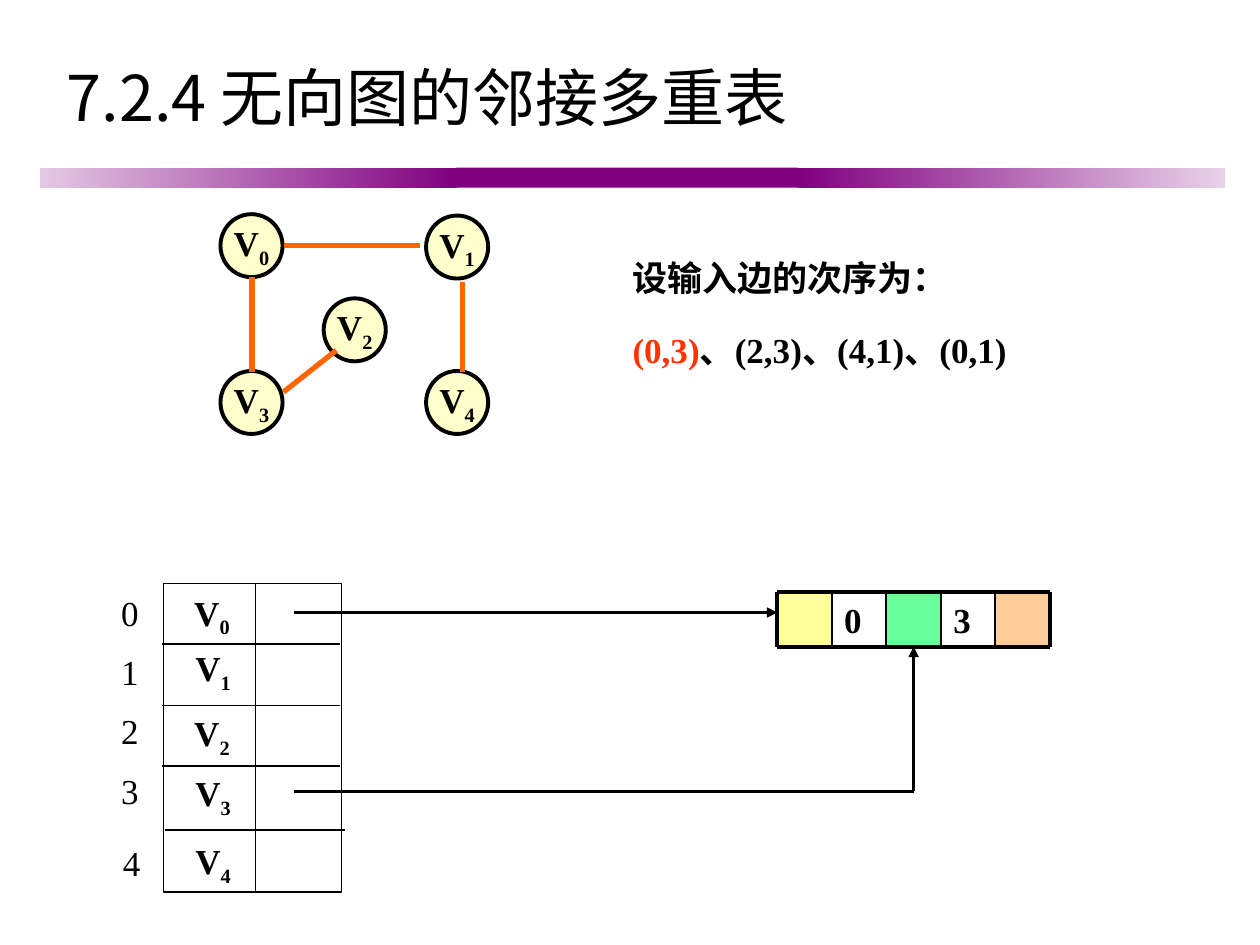
from dataclasses import dataclass
from typing import Optional

from lxml.etree import SubElement
from pptx import Presentation
from pptx.dml.color import RGBColor
from pptx.enum.shapes import MSO_CONNECTOR, MSO_SHAPE
from pptx.enum.text import MSO_ANCHOR as Anchor, PP_ALIGN as Align
from pptx.oxml.ns import qn
from pptx.util import Pt


@dataclass(frozen=True)
class Theme:
    black: str = "000000"
    purple: str = "800080"
    fade_left: str = "E4C9E4"
    fade_right: str = "E9D2E9"
    vertex: str = "FFFFCC"
    edge: str = "FF6600"
    current: str = "FF3300"
    latin: str = "Times New Roman"
    cjk: str = "Noto Sans CJK JP"
    title_size: float = 36
    body_size: float = 20


@dataclass(frozen=True)
class Vertex:
    number: int
    left: float
    top: float


@dataclass(frozen=True)
class HeadRow:
    number: int
    index_x: float
    index_y: float
    vertex_x: float
    vertex_y: float


@dataclass(frozen=True)
class Line:
    x1: float
    y1: float
    x2: float
    y2: float
    width: float
    color: str = "000000"
    arrow: bool = False


@dataclass(frozen=True)
class Field:
    fill: Optional[str] = None
    text: str = ""


THEME = Theme()
prs = Presentation()
prs.slide_width, prs.slide_height = Pt(720), Pt(540)
slide = prs.slides.add_slide(prs.slide_layouts[6])
shapes = slide.shapes


def rgb(color: str) -> RGBColor:
    return RGBColor.from_string(color)


def style(paragraph, size: float, latin: str, bold: bool = False,
          color: Optional[str] = THEME.black) -> None:
    font = paragraph.font
    font.size, font.name, font.bold = Pt(size), latin, bold
    if color:
        font.color.rgb = rgb(color)
    SubElement(font._element, qn("a:ea")).set("typeface", THEME.cjk)


def add_box(left: float, top: float, width: float, height: float, wrap: bool = True,
            anchor: Anchor = Anchor.MIDDLE):
    frame = shapes.add_textbox(Pt(left), Pt(top), Pt(width), Pt(height)).text_frame
    frame.word_wrap, frame.vertical_anchor = wrap, anchor
    return frame


def add_panel(kind: MSO_SHAPE, left: float, top: float, width: float, height: float,
              fill: Optional[str] = None, line: float = 0):
    panel = shapes.add_shape(kind, Pt(left), Pt(top), Pt(width), Pt(height))
    panel.shadow.inherit = False
    if fill:
        panel.fill.solid()
        panel.fill.fore_color.rgb = rgb(fill)
    else:
        panel.fill.background()
    if line:
        panel.line.width = Pt(line)
        panel.line.color.rgb = rgb(THEME.black)
    else:
        panel.line.fill.background()
    return panel


def add_line(line: Line):
    connector = shapes.add_connector(MSO_CONNECTOR.STRAIGHT, Pt(line.x1), Pt(line.y1),
                                     Pt(line.x2), Pt(line.y2))
    connector.line.width = Pt(line.width)
    connector.line.color.rgb = rgb(line.color)
    if line.arrow:
        SubElement(connector.line._get_or_add_ln(), qn("a:tailEnd")).set("type", "triangle")
    SubElement(connector._element.spPr, qn("a:effectLst"))
    return connector


def write_vertex_name(frame, number: int) -> None:
    name = frame.paragraphs[0]
    name.alignment = Align.CENTER
    style(name, THEME.body_size, THEME.latin, bold=True)
    name.add_run().text = "V"
    subscript = name.add_run()
    subscript.text = str(number)
    subscript.font._element.set("baseline", "-25000")


def add_vertex(vertex: Vertex) -> None:
    circle = add_panel(MSO_SHAPE.OVAL, vertex.left, vertex.top, 35.5, 36, THEME.vertex, 2.25)
    circle.text_frame.word_wrap = False
    circle.text_frame.vertical_anchor = Anchor.MIDDLE
    write_vertex_name(circle.text_frame, vertex.number)


def add_head_row(row: HeadRow) -> None:
    index = add_box(row.index_x, row.index_y, 24.4, 31.4, wrap=False).paragraphs[0]
    index.text, index.alignment = str(row.number), Align.CENTER
    style(index, THEME.body_size, THEME.latin)
    write_vertex_name(add_box(row.vertex_x, row.vertex_y, 34.6, 34.6, wrap=False), row.number)


# Title and the fading rule below it
title = add_box(31, 26, 652.4, 57.6).paragraphs[0]
title.text = "7.2.4 无向图的邻接多重表"
style(title, THEME.title_size, THEME.cjk)

for rule_left, rule_width, start, end in (
        (23, 238, THEME.fade_left, THEME.purple),
        (260.8, 195.1, THEME.purple, THEME.purple),
        (455.8, 244.1, THEME.purple, THEME.fade_right)):
    band = add_panel(MSO_SHAPE.RECTANGLE, rule_left, 95.8, rule_width, 11.5, start)
    if start != end:
        band.fill.gradient()
        band.fill.gradient_angle = 0
        for stop, stop_color in zip(band.fill.gradient_stops, (start, end)):
            stop.color.rgb = rgb(stop_color)

# Undirected graph
for graph_vertex in (Vertex(0, 126, 122.4), Vertex(4, 243.5, 212), Vertex(2, 185, 170.5),
                     Vertex(1, 243.5, 123.2), Vertex(3, 126, 212)):
    add_vertex(graph_vertex)
for edge in ((162, 140.4, 239.8, 140.4), (144, 158.4, 144, 212.4),
             (264.2, 161.3, 264.2, 212.4), (192.2, 200.2, 162, 224)):
    add_line(Line(*edge, 3, THEME.edge))

# Order in which the edges are entered
order = add_box(354.4, 140.4, 239.8, 103.7, anchor=Anchor.TOP)
heading, edges = order.paragraphs[0], order.add_paragraph()
heading.text, heading.line_spacing = "设输入边的次序为：", 1.1
style(heading, THEME.body_size, THEME.latin, bold=True)
edges.line_spacing, edges.space_before = 1.2, Pt(12.5)
style(edges, THEME.body_size, THEME.latin, bold=True, color=None)
for edge_text, edge_color in (("(0,3)", THEME.current), ("、(2,3)、(4,1)、(0,1)", THEME.black)):
    run = edges.add_run()
    run.text = edge_text
    run.font.color.rgb = rgb(edge_color)

# Vertex table
add_panel(MSO_SHAPE.RECTANGLE, 93.6, 333.4, 101.5, 176.4, line=0.75)
for row_y in (368, 403, 437.8):
    add_line(Line(92.4, row_y, 194.4, row_y, 0.75))
add_line(Line(94.4, 474.3, 197.2, 474.3, 0.75))
add_line(Line(146, 333.4, 146, 509.8, 0.75))
for head_row in (HeadRow(0, 62, 334.1, 103.8, 334.1), HeadRow(1, 62, 368.1, 104.4, 365.8),
                 HeadRow(2, 62, 402, 103.8, 403), HeadRow(3, 62, 436.2, 104.4, 437.2),
                 HeadRow(4, 63, 477.4, 104.4, 476)):
    add_head_row(head_row)

# Edge record of (0,3)
RECORD_LEFT, RECORD_TOP, FIELD = 444.2, 338.4, 31.15
FIELDS = (Field("FFFF99"), Field(text="0"), Field("66FF99"), Field(text="3"), Field("FFCC99"))
record_right, record_bottom = RECORD_LEFT + len(FIELDS) * FIELD, RECORD_TOP + FIELD
panels = {}
for position, field in enumerate(FIELDS):
    field_left = RECORD_LEFT + position * FIELD
    if field.fill:
        panels[position] = add_panel(MSO_SHAPE.RECTANGLE, field_left, RECORD_TOP,
                                     FIELD, FIELD, field.fill)
    else:
        value = add_box(field_left, RECORD_TOP, FIELD, FIELD).paragraphs[0]
        value.text = field.text
        style(value, THEME.body_size, THEME.latin, bold=True)
for border_y in (RECORD_TOP, record_bottom):
    add_line(Line(RECORD_LEFT, border_y, record_right, border_y, 2.25))
for position in range(len(FIELDS) + 1):
    border_x = RECORD_LEFT + position * FIELD
    border_width = 2.25 if position in (0, len(FIELDS)) else 1
    add_line(Line(border_x, RECORD_TOP, border_x, record_bottom, border_width))

# Pointers from the vertex table to the record
link_x = RECORD_LEFT + 2.5 * FIELD
add_line(Line(168, 350, RECORD_LEFT, 350, 2, arrow=True))
add_line(Line(168, 452.2, link_x, 452.2, 2))
add_line(Line(link_x, 452.2, link_x, record_bottom, 2, arrow=True)).end_connect(panels[2], 2)

prs.save("out.pptx")
